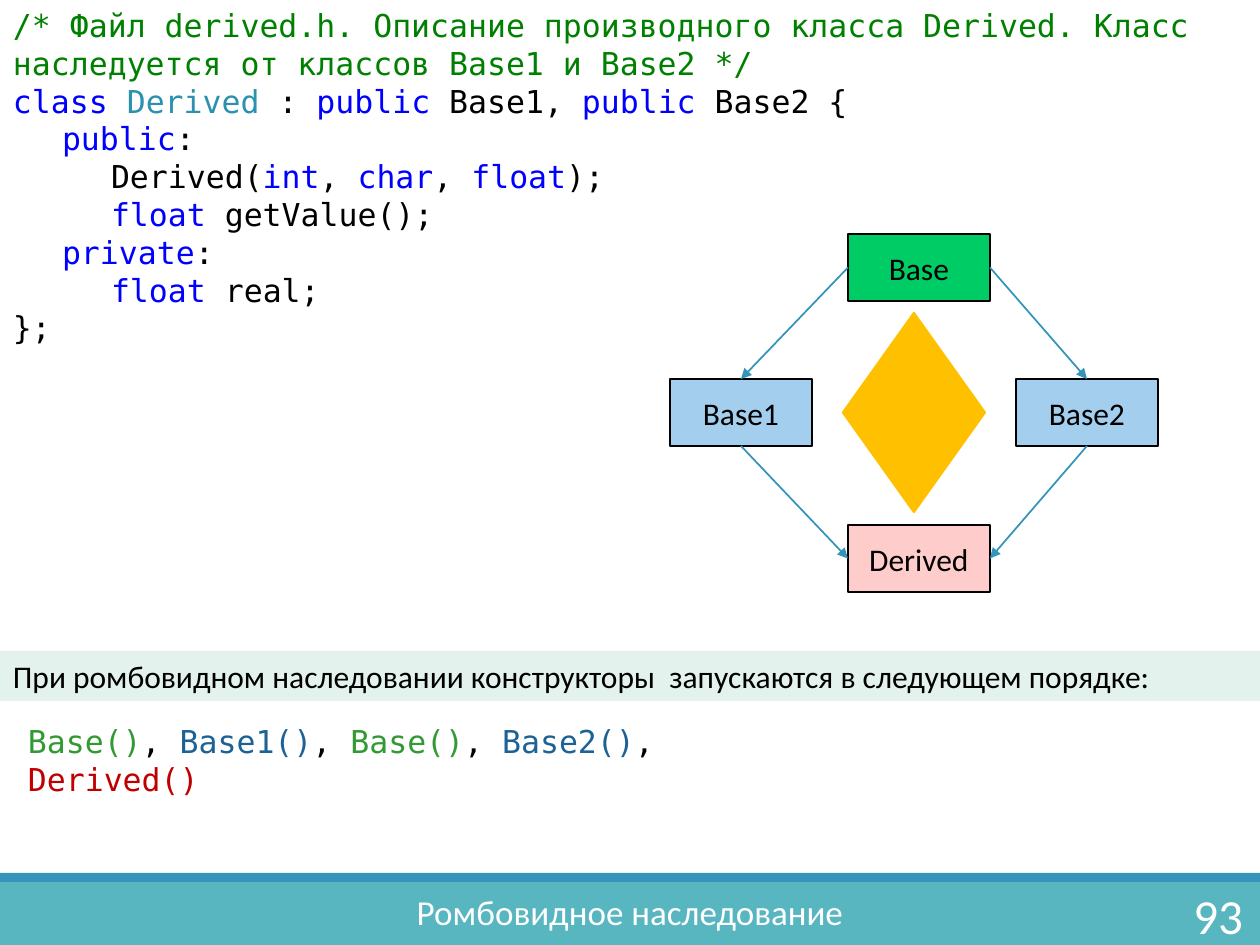
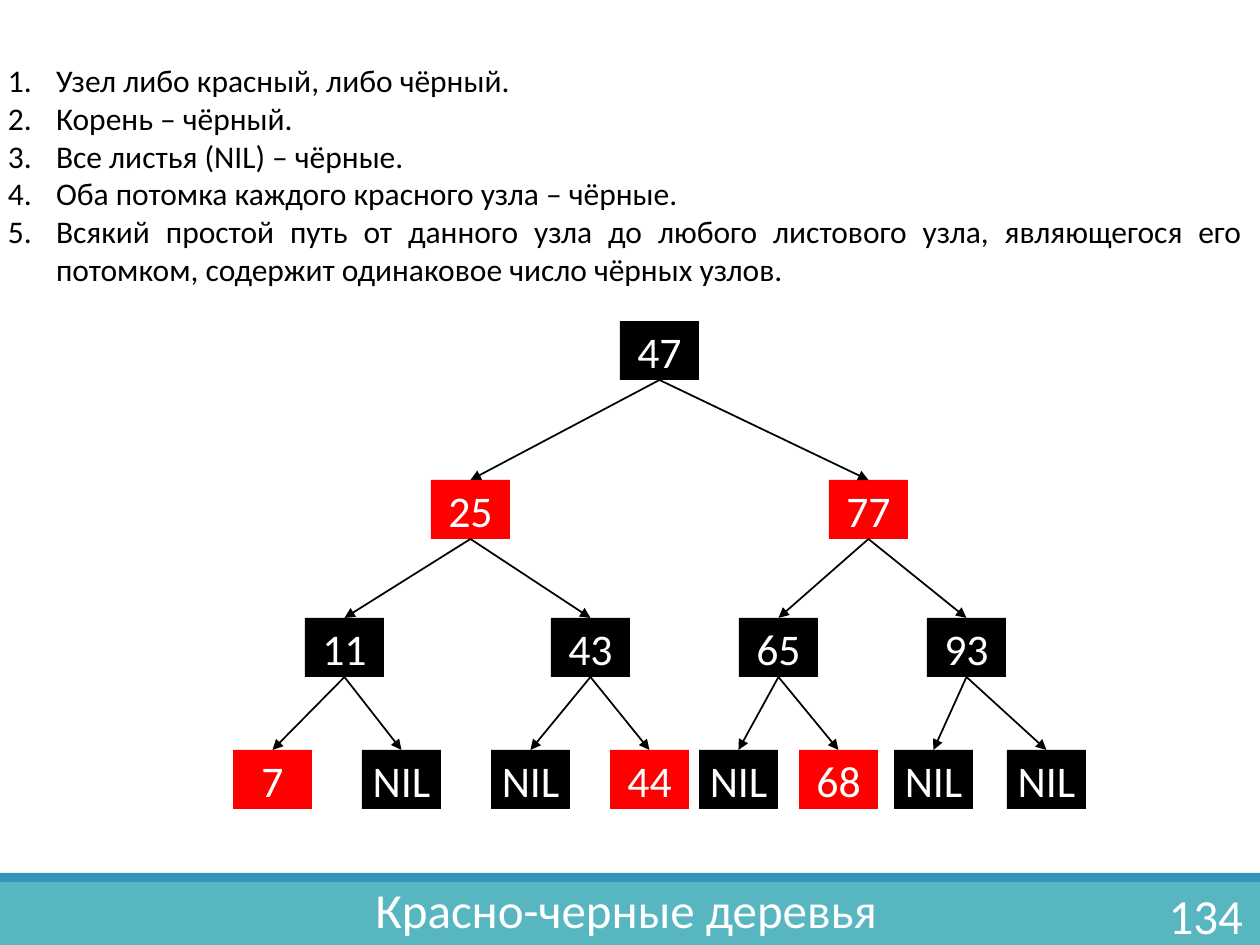
from lxml.etree import SubElement
from pptx import Presentation
from pptx.dml.color import RGBColor
from pptx.enum.shapes import MSO_CONNECTOR, MSO_SHAPE
from pptx.enum.text import MSO_ANCHOR, MSO_AUTO_SIZE, PP_ALIGN
from pptx.oxml.ns import qn
from pptx.util import Pt

PX = 7257  # EMU per pixel, 126 pixels to the inch
WIDTH, HEIGHT = 1260, 945
SANS, MONO = "Calibri", "DejaVu Sans Mono"
BLACK, WHITE, RED = "000000", "FFFFFF", "FF0000"
TEAL, ACCENT = "58B6C0", "3494BA"
KEYWORD, TYPE, COMMENT = "0000FF", "2B91AF", "008000"
GREEN, NAVY, DARK_RED = "339933", "1D6294", "C00000"
TOP, LEFT, BOTTOM, RIGHT = 0, 1, 2, 3
color_of = RGBColor.from_string


def add_text(slide, paragraphs, place, kind=None, holder=None, fill=None, line=None,
             size=18, font=SANS, color=BLACK, align=PP_ALIGN.LEFT,
             anchor=MSO_ANCHOR.TOP, margins=(13, 6), tabs=(), number_indent=0):
    """Put paragraphs (strings or lists of (text, color) runs) in a shape,
    a given placeholder or, by default, a text box."""
    left, top, width, height = (length * PX for length in place)
    if holder is not None:
        shape = holder
        shape.left, shape.top, shape.width, shape.height = left, top, width, height
    elif kind is not None:
        shape = slide.shapes.add_shape(kind, left, top, width, height)
        shape.shadow.inherit = False
    else:
        shape = slide.shapes.add_textbox(left, top, width, height)
    if fill:
        shape.fill.solid()
        shape.fill.fore_color.rgb = color_of(fill)
    if line:
        shape.line.color.rgb = color_of(line)
        shape.line.width = Pt(1.25)
    else:
        shape.line.fill.background()

    frame = shape.text_frame
    frame.word_wrap = True
    frame.auto_size = MSO_AUTO_SIZE.NONE
    frame.vertical_anchor = anchor
    frame.margin_left = frame.margin_right = margins[0] * PX
    frame.margin_top = frame.margin_bottom = margins[1] * PX
    for index, runs in enumerate(paragraphs):
        paragraph = frame.add_paragraph() if index else frame.paragraphs[0]
        paragraph.alignment = align
        properties = paragraph._p.get_or_add_pPr()
        if number_indent:
            properties.set("marL", str(number_indent * PX))
            properties.set("indent", str(-number_indent * PX))
            SubElement(properties, qn("a:buAutoNum"), type="arabicPeriod")
        if tabs:
            tab_list = SubElement(properties, qn("a:tabLst"))
            for position in tabs:
                SubElement(tab_list, qn("a:tab"), pos=str(position * PX), algn="l")
        for text, run_color in [(runs, color)] if isinstance(runs, str) else runs:
            run = paragraph.add_run()
            run.text = text
            run.font.name = font
            run.font.size = Pt(size)
            run.font.color.rgb = color_of(run_color)
    return shape


def add_arrow(slide, start, start_side, end, end_side, color):
    arrow = slide.shapes.add_connector(MSO_CONNECTOR.STRAIGHT, 0, 0, 0, 0)
    arrow.begin_connect(start, start_side)
    arrow.end_connect(end, end_side)
    arrow.line.color.rgb = color_of(color)
    arrow.line.width = Pt(1)
    properties = arrow.element.spPr
    SubElement(properties.find(qn("a:ln")), qn("a:tailEnd"), type="triangle")
    SubElement(properties, qn("a:effectLst"))


presentation = Presentation()
presentation.slide_width = WIDTH * PX
presentation.slide_height = HEIGHT * PX
layout = presentation.slide_layouts[5]

# Titles and page numbers stand in the footer band
slides = []
for title, size, place, page in [
    ("Ромбовидное наследование", 20, (392, 890, 476, 43), "93"),
    ("Красно-черные деревья", 28, (105, 880, 1042, 59), "134"),
]:
    slide = presentation.slides.add_slide(layout)
    add_text(slide, [title], place, holder=slide.shapes.title, size=size, color=WHITE,
             align=PP_ALIGN.CENTER, margins=(0, 0))
    add_text(slide, [page], (1120, 890, 136, 50), size=28, color=WHITE,
             align=PP_ALIGN.RIGHT, anchor=MSO_ANCHOR.MIDDLE)
    slides.append(slide)
diamond_slide, tree_slide = slides

# The two bands belong to the layout, so both slides show them
for band_id, (top, height, fill) in enumerate([(882, 63, TEAL), (873, 9, ACCENT)], 20):
    band = add_text(diamond_slide, [], (0, top, WIDTH, height),
                    kind=MSO_SHAPE.RECTANGLE, fill=fill)
    band.element.nvSpPr.cNvPr.set("id", str(band_id))
    layout.shapes.element.append(band.element)

# Diamond inheritance: code
add_text(diamond_slide, [
    [("/* Файл derived.h. Описание производного класса Derived. "
      "Класс наследуется от классов Base1 и Base2 */", COMMENT)],
    [("class ", KEYWORD), ("Derived", TYPE), (" : ", BLACK), ("public", KEYWORD),
     (" Base1, ", BLACK), ("public", KEYWORD), (" Base2 {", BLACK)],
    [("\tpublic", KEYWORD), (":", BLACK)],
    [("\t\tDerived(", BLACK), ("int", KEYWORD), (", ", BLACK), ("char", KEYWORD),
     (", ", BLACK), ("float", KEYWORD), (");", BLACK)],
    [("\t\tfloat ", KEYWORD), ("getValue();", BLACK)],
    [("\tprivate", KEYWORD), (":", BLACK)],
    [("\t\tfloat", KEYWORD), (" real;", BLACK)],
    "};",
], (0, 0, 1255, 357), font=MONO, tabs=(49, 98, 149))

# Diamond inheritance: class diagram
classes = {}
for name, left, top, fill in [
    ("Base", 848, 234, "00CC66"),
    ("Base1", 670, 379, "A3CEED"),
    ("Base2", 1016, 379, "A3CEED"),
    ("Derived", 848, 525, "FFCCCC"),
]:
    classes[name] = add_text(diamond_slide, [name], (left, top, 142, 67),
                             kind=MSO_SHAPE.RECTANGLE, fill=fill, line=BLACK,
                             align=PP_ALIGN.CENTER, anchor=MSO_ANCHOR.MIDDLE)
for middle, side in [("Base1", LEFT), ("Base2", RIGHT)]:
    add_arrow(diamond_slide, classes["Base"], side, classes[middle], TOP, ACCENT)
    add_arrow(diamond_slide, classes[middle], BOTTOM, classes["Derived"], side, ACCENT)
add_text(diamond_slide, [], (843, 313, 142, 199), kind=MSO_SHAPE.DIAMOND,
         fill="FFC000", line="FFC000")

# Diamond inheritance: order of constructors
add_text(diamond_slide,
         ["При ромбовидном наследовании конструкторы  запускаются в следующем порядке:"],
         (0, 651, WIDTH, 50), kind=MSO_SHAPE.RECTANGLE, fill="E3F2ED",
         align=PP_ALIGN.JUSTIFY)
add_text(diamond_slide, [[
    ("Base()", GREEN), (", ", BLACK), ("Base1()", NAVY), (", ", BLACK),
    ("Base()", GREEN), (", ", BLACK), ("Base2()", NAVY), (", ", BLACK),
    ("Derived()", DARK_RED),
]], (15, 716, 798, 50), font=MONO)

# Red-black tree: rules
add_text(tree_slide, [
    "Узел либо красный, либо чёрный.",
    "Корень – чёрный.",
    "Все листья (NIL) – чёрные.",
    "Оба потомка каждого красного узла – чёрные.",
    "Всякий простой путь от данного узла до любого листового узла, "
    "являющегося его потомком, содержит одинаковое число чёрных узлов.",
], (8, 61, 1234, 229), align=PP_ALIGN.JUSTIFY, margins=(0, 0), number_indent=48)

# Red-black tree: levels from the root down, so node i hangs from node (i - 1) // 2
levels = [
    (321, [("47", 620)]),
    (480, [("25", 431), ("77", 829)]),
    (618, [("11", 305), ("43", 551), ("65", 739), ("93", 927)]),
    (750, [("7", 233), ("NIL", 362), ("NIL", 491), ("44", 610),
           ("NIL", 699), ("68", 799), ("NIL", 894), ("NIL", 1007)]),
]
red_keys = {"25", "77", "7", "44", "68"}
nodes = []
for top, level in levels:
    for key, left in level:
        node = add_text(tree_slide, [key], (left, top, 79, 59),
                        kind=MSO_SHAPE.RECTANGLE, fill=RED if key in red_keys else BLACK,
                        size=25, color=WHITE, align=PP_ALIGN.CENTER,
                        anchor=MSO_ANCHOR.MIDDLE, margins=(0, 0))
        if nodes:
            add_arrow(tree_slide, nodes[(len(nodes) - 1) // 2], BOTTOM, node, TOP, BLACK)
        nodes.append(node)

presentation.save("out.pptx")
